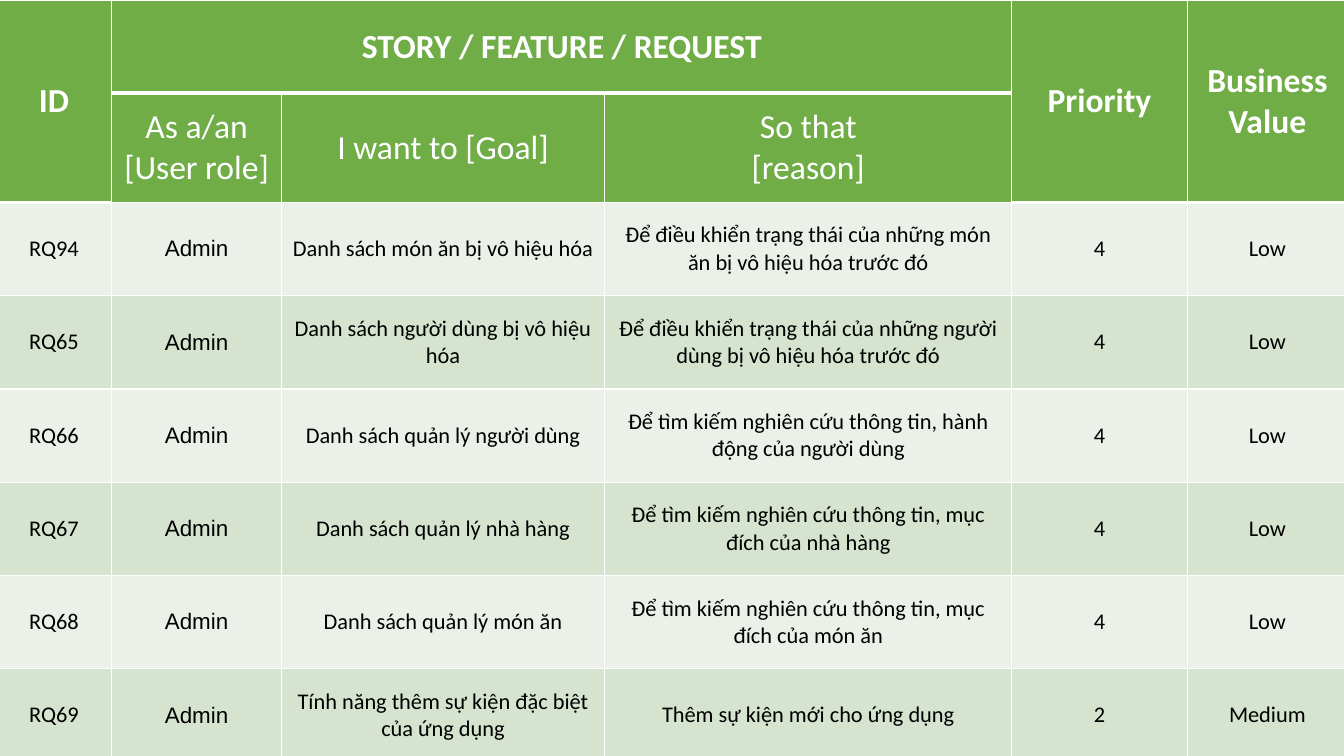
from dataclasses import dataclass

from lxml.etree import SubElement
from pptx import Presentation
from pptx.dml.color import RGBColor
from pptx.enum.text import MSO_ANCHOR as Anchor, PP_ALIGN as Align
from pptx.oxml.ns import qn
from pptx.table import Table, _Cell as Cell
from pptx.util import Cm, Pt

WHITE, BLACK, GREEN = "FFFFFF", "000000", "70AD47"
BANDS = ("EBF1E9", "D5E3CF")
COLUMN_WIDTHS = (2.92, 4.27, 8.15, 10.26, 4.42, 4.04)
ROW_HEIGHTS = (2.35, 2.75) + (2.35,) * 6
TALL_COLUMNS = (0, 4, 5)
ROLE_COLUMN = 1


@dataclass
class Heading:
    text: str
    row: int
    column: int
    last_row: int
    last_column: int
    bold: bool = True


@dataclass
class Story:
    code: str
    goal: str
    reason: str
    priority: str = "4"
    value: str = "Low"
    role: str = "Admin"

    def cells(self) -> tuple[str, ...]:
        return (self.code, self.role, self.goal, self.reason, self.priority, self.value)


HEADINGS = [
    Heading("ID", 0, 0, 1, 0),
    Heading("STORY / FEATURE / REQUEST", 0, 1, 0, 3),
    Heading("Priority", 0, 4, 1, 4),
    Heading("Business Value", 0, 5, 1, 5),
    Heading("As a/an\n[User role]", 1, 1, 1, 1, bold=False),
    Heading("I want to [Goal]", 1, 2, 1, 2, bold=False),
    Heading("So that\n[reason]", 1, 3, 1, 3, bold=False),
]

STORIES = [
    Story("RQ94", "Danh sách món ăn bị vô hiệu hóa",
          "Để điều khiển trạng thái của những món ăn bị vô hiệu hóa trước đó"),
    Story("RQ65", "Danh sách người dùng bị vô hiệu hóa",
          "Để điều khiển trạng thái của những người dùng bị vô hiệu hóa trước đó"),
    Story("RQ66", "Danh sách quản lý người dùng",
          "Để tìm kiếm nghiên cứu thông tin, hành động của người dùng"),
    Story("RQ67", "Danh sách quản lý nhà hàng",
          "Để tìm kiếm nghiên cứu thông tin, mục đích của nhà hàng"),
    Story("RQ68", "Danh sách quản lý món ăn",
          "Để tìm kiếm nghiên cứu thông tin, mục đích của món ăn"),
    Story("RQ69", "Tính năng thêm sự kiện đặc biệt của ứng dụng",
          "Thêm sự kiện mới cho ứng dụng", "2", "Medium"),
]


def color(value: str) -> RGBColor:
    return RGBColor.from_string(value)


def write(cell: Cell, text: str, *, size: int = 16, font: str = "Calibri",
          ink: str = BLACK, bold: bool = False) -> None:
    cell.text = text
    cell.vertical_anchor = Anchor.MIDDLE
    for paragraph in cell.text_frame.paragraphs:
        paragraph.alignment = Align.CENTER
        for run in paragraph.runs:
            run.font.size = Pt(size)
            run.font.name = font
            run.font.bold = bold
            run.font.color.rgb = color(ink)


def rule_below(row: int, column: int) -> int:
    return 3 if row == 0 or (row == 1 and column in TALL_COLUMNS) else 1


def style_cell(cell: Cell, row: int, column: int) -> None:
    properties = cell._tc.get_or_add_tcPr()
    top = rule_below(row - 1, column) if row else 1
    edges = {"a:lnL": 1, "a:lnR": 1, "a:lnT": top, "a:lnB": rule_below(row, column)}
    for tag, width in edges.items():
        line = SubElement(properties, qn(tag), w=str(Pt(width)))
        SubElement(SubElement(line, qn("a:solidFill")), qn("a:srgbClr"), val=WHITE)
    cell.fill.solid()
    cell.fill.fore_color.rgb = color(GREEN if row < 2 else BANDS[row % 2])


def draw_heading(backlog: Table, heading: Heading) -> None:
    cell = backlog.cell(heading.row, heading.column)
    last = backlog.cell(heading.last_row, heading.last_column)
    if (heading.row, heading.column) != (heading.last_row, heading.last_column):
        cell.merge(last)
    write(cell, heading.text, size=24, ink=WHITE, bold=heading.bold)


def draw_story(backlog: Table, row: int, story: Story) -> None:
    for column, text in enumerate(story.cells()):
        font = "Arial" if column == ROLE_COLUMN else "Calibri"
        write(backlog.cell(row, column), text, font=font)


def main() -> None:
    deck = Presentation()
    deck.slide_width, deck.slide_height = Cm(33.87), Cm(19.05)
    slide = deck.slides.add_slide(deck.slide_layouts[6])
    backlog = slide.shapes.add_table(
        len(ROW_HEIGHTS), len(COLUMN_WIDTHS), Cm(-0.1), Cm(0),
        Cm(sum(COLUMN_WIDTHS)), Cm(sum(ROW_HEIGHTS))).table
    for column, width in zip(backlog.columns, COLUMN_WIDTHS):
        column.width = Cm(width)
    for index, height in enumerate(ROW_HEIGHTS):
        backlog.rows[index].height = Cm(height)
        for column in range(len(COLUMN_WIDTHS)):
            style_cell(backlog.cell(index, column), index, column)
    for heading in HEADINGS:
        draw_heading(backlog, heading)
    for row, story in enumerate(STORIES, start=2):
        draw_story(backlog, row, story)
    deck.save("out.pptx")


if __name__ == "__main__":
    main()
